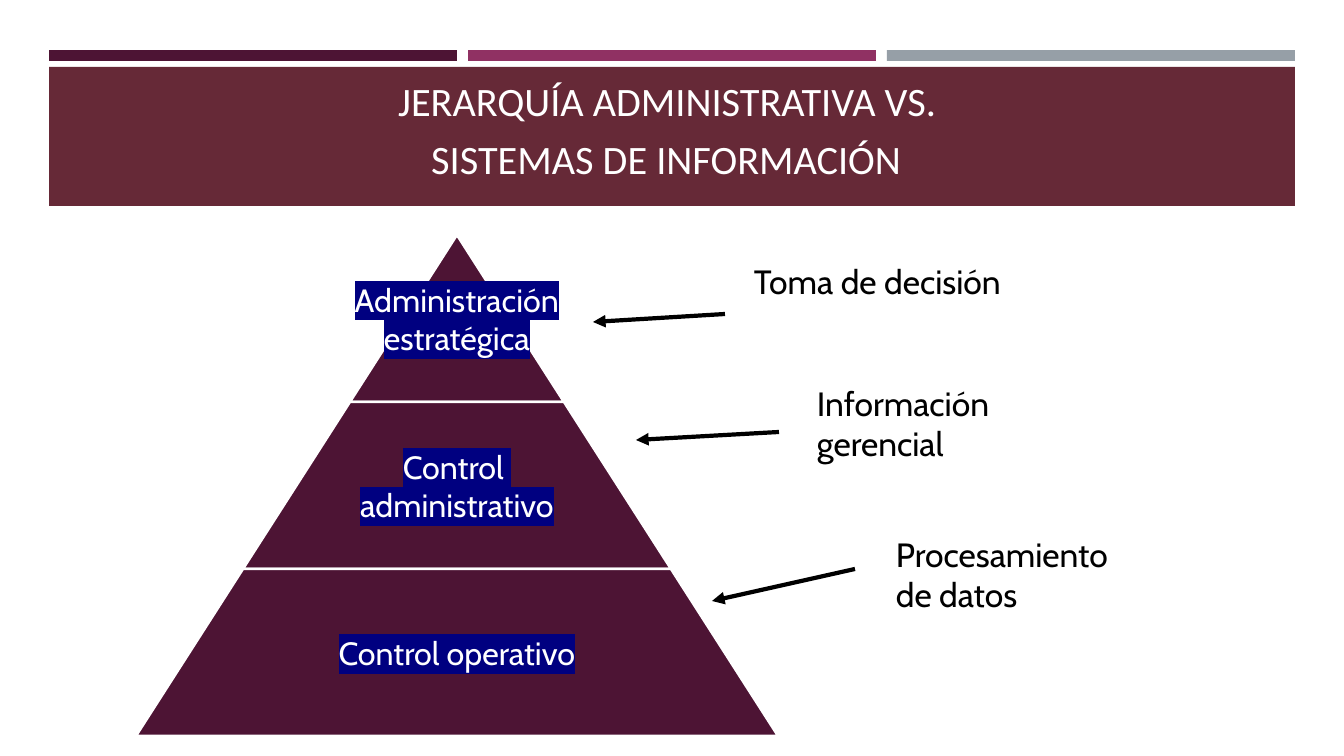
from dataclasses import dataclass

from lxml import etree
from pptx import Presentation
from pptx.dml.color import RGBColor
from pptx.enum.shapes import MSO_CONNECTOR, MSO_SHAPE
from pptx.enum.text import MSO_ANCHOR, MSO_AUTO_SIZE, PP_ALIGN
from pptx.oxml.ns import qn
from pptx.util import Pt

RECTANGLE, TRAPEZOID = MSO_SHAPE.RECTANGLE, MSO_SHAPE.TRAPEZOID
STRAIGHT = MSO_CONNECTOR.STRAIGHT
CENTER, LEFT = PP_ALIGN.CENTER, PP_ALIGN.LEFT
MIDDLE, TOP, BOTTOM = MSO_ANCHOR.MIDDLE, MSO_ANCHOR.TOP, MSO_ANCHOR.BOTTOM
NO_AUTOFIT = MSO_AUTO_SIZE.NONE
TITLE_ONLY = 5


@dataclass
class Theme:
    plum: RGBColor = RGBColor.from_string("4D1434")
    magenta: RGBColor = RGBColor.from_string("903163")
    gray: RGBColor = RGBColor.from_string("969FA7")
    wine: RGBColor = RGBColor.from_string("662937")
    white: RGBColor = RGBColor.from_string("FFFFFF")
    black: RGBColor = RGBColor.from_string("000000")
    highlight: str = "000080"
    title_font: str = "Calibri"
    body_font: str = "Cabin"
    title_size: float = 28.8
    title_end_size: int = 36
    level_size: int = 23
    system_size: int = 24


theme = Theme()
PX = 914400 / 100.8


def px(*lengths):
    return [round(length * PX) for length in lengths]


def add_label(shapes, box, lines, size, color, align, anchor):
    label = shapes.add_textbox(*px(*box))
    frame = label.text_frame
    frame.word_wrap = True
    frame.vertical_anchor = anchor
    frame.text = "\n".join(lines)
    for paragraph in frame.paragraphs:
        paragraph.alignment = align
        paragraph.font.name = theme.body_font
        paragraph.font.size = Pt(size)
        paragraph.font.color.rgb = color
    return frame


prs = Presentation()
prs.slide_width, prs.slide_height = px(1344, 756)
slide = prs.slides.add_slide(prs.slide_layouts[TITLE_ONLY])

# Header bars and title band
for box, color in [
    ((49, 50, 408, 11), theme.plum),
    ((468, 50, 408, 11), theme.magenta),
    ((887, 50, 408, 11), theme.gray),
    ((49, 67, 1246, 139), theme.wine),
]:
    bar = slide.shapes.add_shape(RECTANGLE, *px(*box))
    bar.shadow.inherit = False
    bar.fill.solid()
    bar.fill.fore_color.rgb = color
    bar.line.fill.background()

# Title, brought in front of its band
title = slide.shapes.title
title.left, title.top, title.width, title.height = px(64, 81, 1216, 109)
slide.shapes._spTree.append(title._element)
title_frame = title.text_frame
title_frame.auto_size = NO_AUTOFIT
title_frame.word_wrap = True
title_frame.vertical_anchor = BOTTOM
heading = title_frame.paragraphs[0]
heading.text = "JERARQUÍA ADMINISTRATIVA VS. \vSISTEMAS DE INFORMACIÓN"
heading.alignment = CENTER
heading.font.name = theme.title_font
heading.font.size = Pt(theme.title_size)
heading.font.color.rgb = theme.white
heading_end = heading.add_run()
heading_end.text = " "
heading_end.font.size = Pt(theme.title_end_size)

# Management pyramid: each level is one step wider than the level above
APEX_X, APEX_Y = 457, 235
LEVEL_HEIGHT, LEVEL_STEP = 167, 214
levels = [
    (["Administración", "estratégica"], 1),
    (["Control ", "administrativo"], 0.65),
    (["Control operativo"], 0.65),
]
pyramid = slide.shapes.add_group_shape()
for index, (lines, text_share) in enumerate(levels):
    width = LEVEL_STEP * (index + 1)
    top = APEX_Y + LEVEL_HEIGHT * index
    level = pyramid.shapes.add_shape(
        TRAPEZOID, *px(APEX_X - width / 2, top, width, LEVEL_HEIGHT))
    level.adjustments[0] = LEVEL_STEP / 2 / LEVEL_HEIGHT
    level.shadow.inherit = False
    level.fill.solid()
    level.fill.fore_color.rgb = theme.plum
    level.line.color.rgb = theme.white
    level.line.width = Pt(1.75)

    text_width = width * text_share
    frame = add_label(
        pyramid.shapes, (APEX_X - text_width / 2, top, text_width, LEVEL_HEIGHT),
        lines, theme.level_size, theme.white, CENTER, MIDDLE)
    frame.margin_left, frame.margin_top, frame.margin_right, frame.margin_bottom = px(3, 3, 3, 3)
    for paragraph in frame.paragraphs:
        properties = paragraph.runs[0]._r.get_or_add_rPr()
        highlight = etree.SubElement(properties, qn("a:highlight"))
        etree.SubElement(highlight, qn("a:srgbClr"), val=theme.highlight)

# Information systems, each with an arrow to its level
systems = [
    ("Toma de decisión", (744, 256), (725, 314), (593, 322)),
    ("Información gerencial", (807, 378), (779, 432), (636, 440)),
    ("Procesamiento de datos", (886, 529), (855, 569), (712, 601)),
]
for name, corner, start, end in systems:
    add_label(slide.shapes, (*corner, 274, 92), [name],
              theme.system_size, theme.black, LEFT, TOP)
    arrow = slide.shapes.add_connector(STRAIGHT, *px(*start, *end))
    arrow.line.color.rgb = theme.black
    arrow.line.width = Pt(3)
    etree.SubElement(arrow.line._get_or_add_ln(), qn("a:tailEnd"), type="triangle")
    etree.SubElement(arrow._element.spPr, qn("a:effectLst"))

prs.save("out.pptx")
